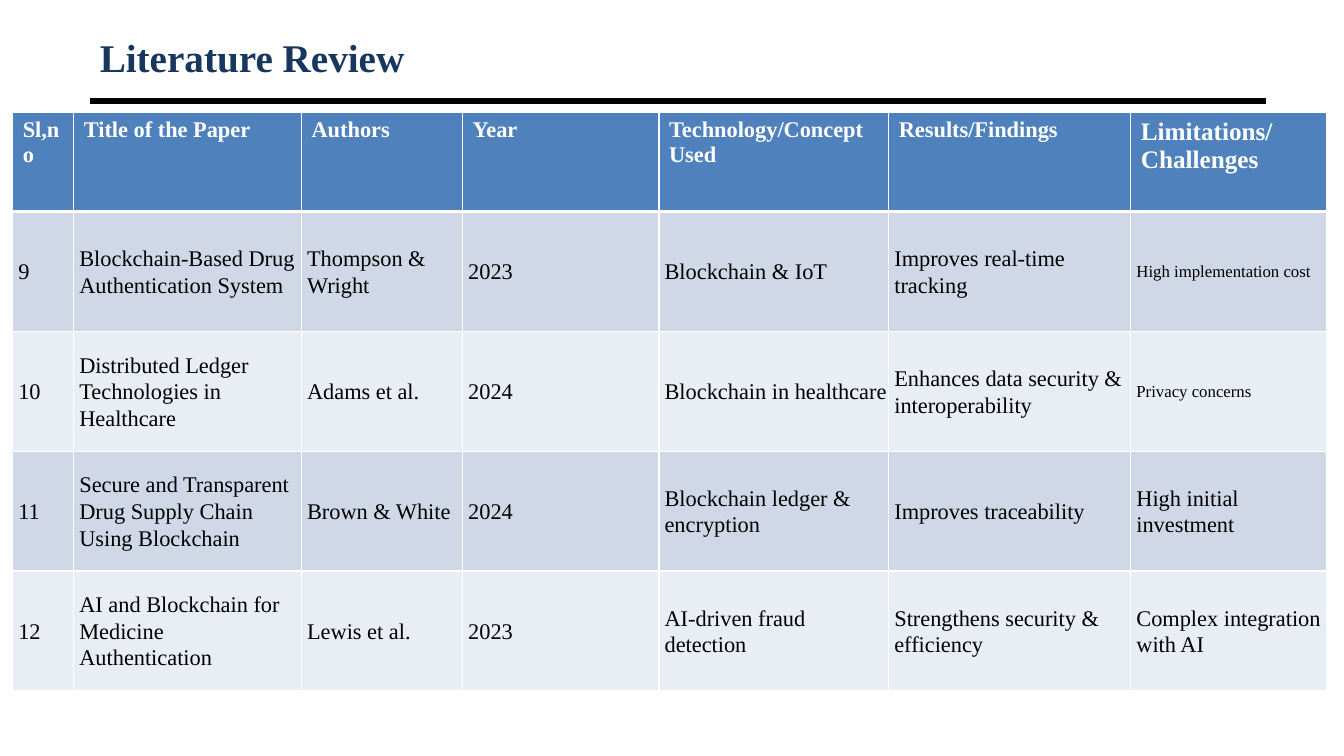
"""Build the literature review slide."""
from dataclasses import dataclass

from lxml.etree import SubElement
from pptx import Presentation
from pptx.dml.color import RGBColor
from pptx.enum.shapes import MSO_CONNECTOR
from pptx.enum.text import MSO_ANCHOR, PP_ALIGN
from pptx.oxml.ns import qn
from pptx.util import Cm, Pt


@dataclass(frozen=True)
class Theme:
    """Colours, font and type sizes of the slide."""
    font: str = "Times New Roman"
    title: str = "17375E"
    rule: str = "000000"
    header: str = "4F81BD"
    bands: tuple = ("D0D8E8", "E9EDF4")
    ink: str = "000000"
    white: str = "FFFFFF"
    title_size: int = 28
    large_size: int = 18
    text_size: int = 16
    small_size: int = 12


THEME = Theme()
COLUMN_WIDTHS = (1.54, 5.74, 4.06, 4.95, 5.79, 6.1, 4.93)
HEADER_HEIGHT, ROW_HEIGHT = 2.49, 3.02
HEADERS = ("Sl,no", "Title of the Paper", "Authors", "Year",
           "Technology/Concept Used", "Results/Findings",
           "Limitations/\nChallenges")
PAPERS = (
    ("9", "Blockchain-Based Drug Authentication System", "Thompson & Wright",
     "2023", "Blockchain & IoT", "Improves real-time tracking",
     "High implementation cost"),
    ("10", "Distributed Ledger Technologies in Healthcare", "Adams et al.",
     "2024", "Blockchain in healthcare",
     "Enhances data security & interoperability", "Privacy concerns"),
    ("11", "Secure and Transparent Drug Supply Chain Using Blockchain",
     "Brown & White", "2024", "Blockchain ledger & encryption",
     "Improves traceability", "High initial investment"),
    ("12", "AI and Blockchain for Medicine Authentication", "Lewis et al.",
     "2023", "AI-driven fraud detection", "Strengthens security & efficiency",
     "Complex integration with AI"),
)
SMALL_LIMITATIONS = ("High implementation cost", "Privacy concerns")


def write_text(frame, text, *, size, color, bold=False, spacing=None,
               after=None, indent=None):
    """Write one paragraph per line of text in the given format."""
    frame.text = text
    for para in frame.paragraphs:
        para.alignment = PP_ALIGN.LEFT
        if spacing is not None:
            para.line_spacing = spacing
        if after is not None:
            para.space_after = Pt(after)
        if indent is not None:
            properties = para._p.get_or_add_pPr()
            properties.set("marL", str(Cm(indent)))
            properties.set("indent", "0")
        for span in para.runs:
            span.font.name = THEME.font
            span.font.size = Pt(size)
            span.font.bold = bold
            span.font.color.rgb = RGBColor.from_string(color)


def add_title(page, text):
    """Place and fill the title placeholder."""
    box = page.shapes.title
    box.left, box.top, box.width, box.height = Cm(2.26), Cm(0.76), Cm(29.64), Cm(1.35)
    box.text_frame.vertical_anchor = MSO_ANCHOR.MIDDLE
    write_text(box.text_frame, text, size=THEME.title_size, color=THEME.title, bold=True)


def add_rule(page):
    """Draw the heavy line below the title."""
    rule = page.shapes.add_connector(
        MSO_CONNECTOR.STRAIGHT, Cm(2.26), Cm(2.54), Cm(31.9), Cm(2.54))
    rule.line.color.rgb = RGBColor.from_string(THEME.rule)
    rule.line.width = Pt(4.5)
    SubElement(rule._element.spPr, qn("a:effectLst"))


def style_cell(cell, fill, bottom_width=1):
    """Give a cell white borders and a solid fill."""
    properties = cell._tc.get_or_add_tcPr()
    for side, width in (("L", 1), ("R", 1), ("T", 1), ("B", bottom_width)):
        border = SubElement(properties, qn(f"a:ln{side}"), w=str(Pt(width)))
        solid = SubElement(border, qn("a:solidFill"))
        SubElement(solid, qn("a:srgbClr"), val=THEME.white)
    cell.fill.solid()
    cell.fill.fore_color.rgb = RGBColor.from_string(fill)


def fill_header(cell, text):
    """Format one header cell."""
    style_cell(cell, THEME.header, bottom_width=3)
    size = THEME.large_size if "\n" in text else THEME.text_size
    write_text(cell.text_frame, text, size=size, color=THEME.white, bold=True)


def fill_body(cell, text, fill):
    """Format one body cell."""
    style_cell(cell, fill)
    cell.vertical_anchor = MSO_ANCHOR.MIDDLE
    cell.margin_left = cell.margin_right = Cm(0.03)
    cell.margin_top = cell.margin_bottom = Cm(0.03)
    size = THEME.small_size if text in SMALL_LIMITATIONS else THEME.text_size
    write_text(cell.text_frame, text, size=size, color=THEME.ink,
               spacing=1.07, after=8, indent=0.11)


def add_review_table(page):
    """Add the table of reviewed papers."""
    height = HEADER_HEIGHT + ROW_HEIGHT * len(PAPERS)
    table = page.shapes.add_table(
        len(PAPERS) + 1, len(HEADERS), Cm(0.32), Cm(2.84),
        Cm(sum(COLUMN_WIDTHS)), Cm(height)).table
    for column, width in zip(table.columns, COLUMN_WIDTHS):
        column.width = Cm(width)
    for index, row in enumerate(table.rows):
        row.height = Cm(ROW_HEIGHT if index else HEADER_HEIGHT)
    for column, text in enumerate(HEADERS):
        fill_header(table.cell(0, column), text)
    for index, paper in enumerate(PAPERS):
        for column, text in enumerate(paper):
            fill_body(table.cell(index + 1, column), text, THEME.bands[index % 2])


def main():
    """Build and save the deck."""
    deck = Presentation()
    deck.slide_width, deck.slide_height = Cm(33.87), Cm(19.05)
    page = deck.slides.add_slide(deck.slide_layouts[5])
    add_rule(page)
    add_title(page, "Literature Review")
    add_review_table(page)
    deck.save("out.pptx")


if __name__ == "__main__":
    main()
